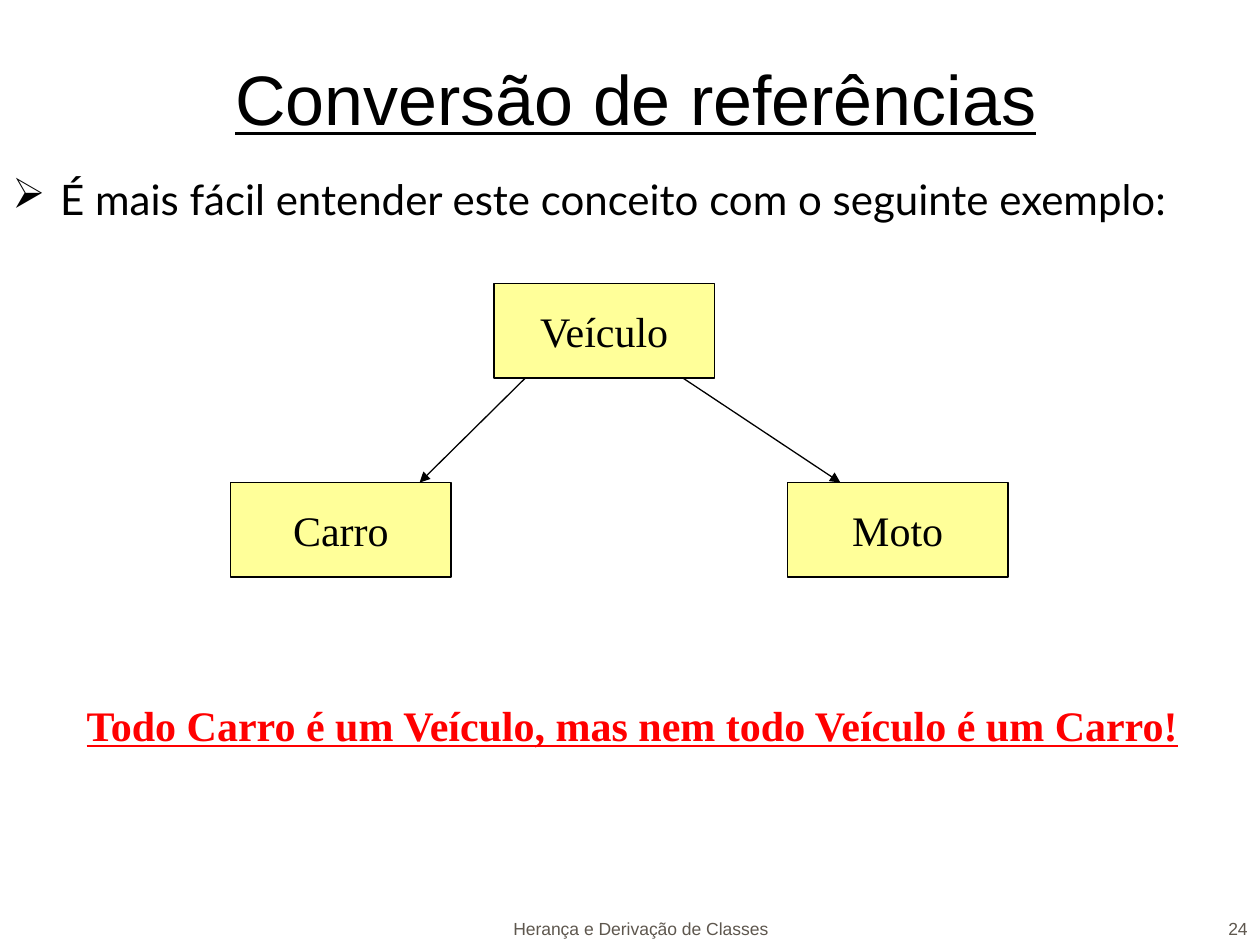
from lxml import etree
from pptx import Presentation
from pptx.dml.color import RGBColor
from pptx.enum import shapes, text
from pptx.oxml.ns import qn
from pptx.util import Inches, Pt

BLACK = RGBColor(0x00, 0x00, 0x00)
RED = RGBColor(0xFF, 0x00, 0x00)
YELLOW = RGBColor(0xFF, 0xFF, 0x99)
GRAY = RGBColor(0x5E, 0x57, 0x4E)
SERIF = "Times New Roman"
CLASS_WIDTH, CLASS_HEIGHT = 1.75, 0.75
PARENT_TOP, CHILD_TOP = 2.25, 3.83


def write(shape, words, size=24, font="Arial", color=BLACK, bold=False,
          underline=False, align=text.PP_ALIGN.LEFT,
          anchor=text.MSO_ANCHOR.TOP, wrap=True, bullet=None):
    frame = shape.text_frame
    frame.word_wrap = wrap
    frame.vertical_anchor = anchor
    paragraph = frame.paragraphs[0]
    paragraph.alignment = align
    if bullet:
        properties = paragraph._p.get_or_add_pPr()
        properties.set("marL", str(Inches(0.38)))
        properties.set("indent", str(Inches(-0.38)))
        etree.SubElement(properties, qn("a:buChar"), char=bullet)
    run = paragraph.add_run()
    run.text = words
    run.font.size = Pt(size)
    run.font.name = font
    run.font.color.rgb = color
    run.font.bold = bold
    run.font.underline = underline


def add_text(slide, left, top, width, height, words, **style):
    box = slide.shapes.add_textbox(Inches(left), Inches(top),
                                   Inches(width), Inches(height))
    write(box, words, **style)


def add_class(slide, left, top, name):
    box = slide.shapes.add_shape(
        shapes.MSO_SHAPE.RECTANGLE, Inches(left), Inches(top),
        Inches(CLASS_WIDTH), Inches(CLASS_HEIGHT))
    box.shadow.inherit = False
    box.fill.solid()
    box.fill.fore_color.rgb = YELLOW
    box.line.color.rgb = BLACK
    box.line.width = Pt(0.75)
    write(box, name, font=SERIF, align=text.PP_ALIGN.CENTER,
          anchor=text.MSO_ANCHOR.MIDDLE, wrap=False)


def add_arrow(slide, start_x, end_x):
    arrow = slide.shapes.add_connector(
        shapes.MSO_CONNECTOR.STRAIGHT,
        Inches(start_x), Inches(PARENT_TOP + CLASS_HEIGHT),
        Inches(end_x), Inches(CHILD_TOP))
    arrow.line.color.rgb = BLACK
    arrow.line.width = Pt(0.75)
    etree.SubElement(arrow.line._get_or_add_ln(), qn("a:tailEnd"), type="triangle")
    etree.SubElement(arrow._element.spPr, qn("a:effectLst"))


def main():
    presentation = Presentation()
    presentation.slide_width = Inches(10)
    presentation.slide_height = Inches(7.5)
    slide = presentation.slides.add_slide(presentation.slide_layouts[6])

    add_text(slide, 0.17, 0.08, 9.75, 1.08, "Conversão de referências",
             size=40, underline=True, align=text.PP_ALIGN.CENTER,
             anchor=text.MSO_ANCHOR.BOTTOM)
    add_text(slide, 0, 1.33, 10, 0.92,
             "É mais fácil entender este conceito com o seguinte exemplo:",
             font="Lato", bullet="➢")

    add_class(slide, 3.92, PARENT_TOP, "Veículo")
    for left, name in ((1.83, "Carro"), (6.25, "Moto")):
        add_class(slide, left, CHILD_TOP, name)
    for start_x, end_x in ((4.17, 3.33), (5.42, 6.67)):
        add_arrow(slide, start_x, end_x)

    add_text(slide, 0.59, 5.5, 8.97, 0.5,
             "Todo Carro é um Veículo, mas nem todo Veículo é um Carro!",
             font=SERIF, color=RED, bold=True, underline=True, wrap=False)

    footer = dict(size=10, color=GRAY, anchor=text.MSO_ANCHOR.BOTTOM)
    add_text(slide, 3.5, 7, 3.17, 0.5, "Herança e Derivação de Classes",
             align=text.PP_ALIGN.CENTER, **footer)
    add_text(slide, 7.92, 7, 2.08, 0.5, "24",
             align=text.PP_ALIGN.RIGHT, **footer)
    presentation.save("out.pptx")


if __name__ == "__main__":
    main()
